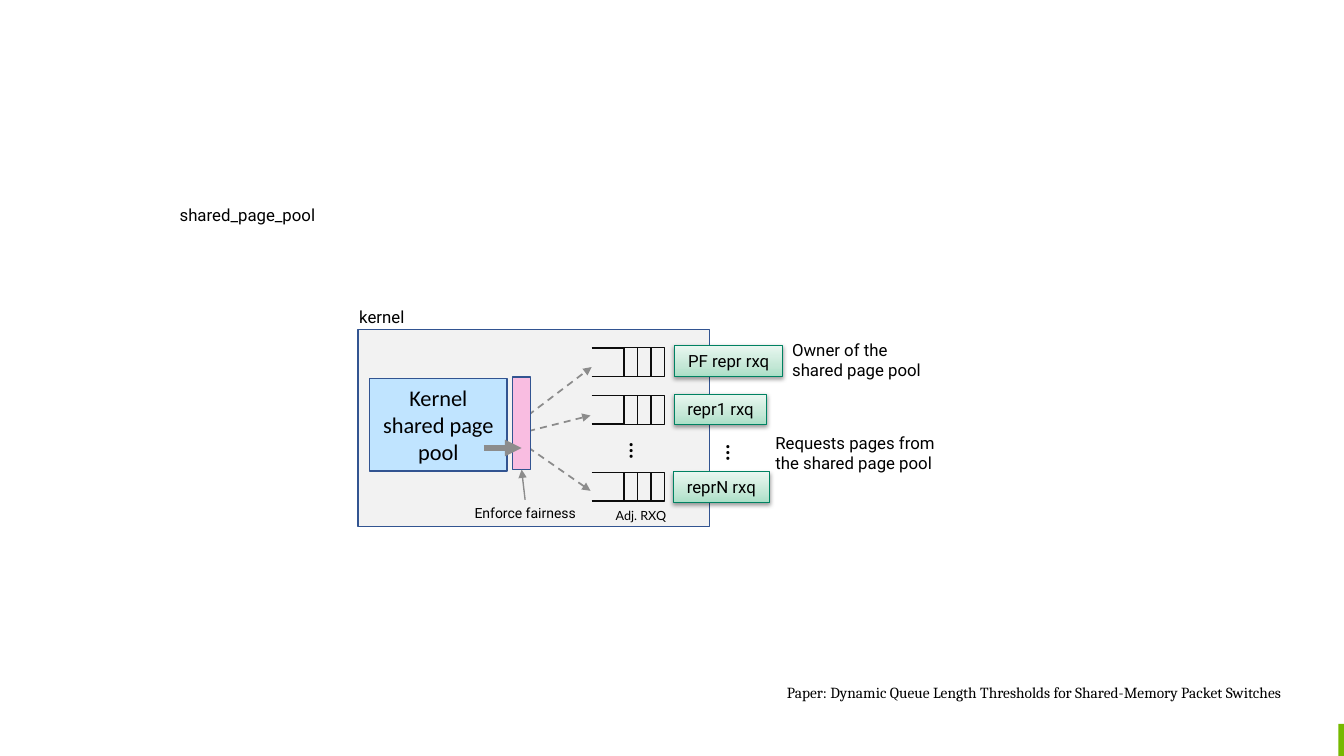
from pptx import Presentation
from pptx.dml.color import RGBColor
from pptx.enum.dml import MSO_LINE
from pptx.enum.shapes import MSO_CONNECTOR, MSO_SHAPE
from pptx.enum.text import MSO_ANCHOR, MSO_AUTO_SIZE as AutoSize, PP_ALIGN as Align
from pptx.oxml import parse_xml
from pptx.oxml.ns import nsdecls, qn
from pptx.util import Pt
from copy import deepcopy

BLACK, INK, NAVY, GREY, GREEN = "000000", "0D0D0D", "325491", "8C8C8C", "008262"
GRADIENT = (("ABDFC7", 0), ("C5E8D7", 0.35), ("E9F7F0", 1))


def rgb(color):
    return RGBColor.from_string(color)


class Diagram:
    """Draws styled elements on one slide; all lengths are points."""

    def __init__(self, page, font="Roboto"):
        self.page, self.font = page, font
        self.shapes = page.shapes

    def add_text(self, shape, lines, size, font=None, align=Align.CENTER,
                 wrap=False, grow=True, anchor=MSO_ANCHOR.TOP):
        frame = shape.text_frame
        frame.word_wrap = wrap
        frame.auto_size = AutoSize.SHAPE_TO_FIT_TEXT if grow else AutoSize.NONE
        frame.vertical_anchor = anchor
        for index, line in enumerate(lines):
            para = frame.add_paragraph() if index else frame.paragraphs[0]
            para.alignment = align
            span = para.add_run()
            span.text = line
            span.font.size = Pt(size)
            span.font.name = font or self.font
            span.font.color.rgb = rgb(BLACK)

    def label(self, x, y, w, h, *lines, size=12, rotation=0, **style):
        box = self.shapes.add_textbox(Pt(x), Pt(y), Pt(w), Pt(h))
        box.rotation = rotation
        self.add_text(box, lines, size, **style)
        return box

    def rect(self, x, y, w, h, fill=None, line=None, weight=1):
        box = self.shapes.add_shape(MSO_SHAPE.RECTANGLE, Pt(x), Pt(y), Pt(w), Pt(h))
        box.shadow.inherit = False
        if fill:
            box.fill.solid()
            box.fill.fore_color.rgb = rgb(fill)
        else:
            box.fill.background()
        if line:
            box.line.color.rgb = rgb(line)
            box.line.width = Pt(weight)
        else:
            box.line.fill.background()
        return box

    def green_box(self, x, y, w, h, text):
        box = self.rect(x, y, w, h, line=GREEN, weight=0.75)
        # Three-stop gradient running upwards
        box.fill.gradient()
        box.fill.gradient_angle = 90
        stop_list = box._element.spPr.find(qn("a:gradFill")).find(qn("a:gsLst"))
        stop_list.insert(1, deepcopy(stop_list[0]))
        for stop, (color, position) in zip(box.fill.gradient_stops, GRADIENT):
            stop.color.rgb = rgb(color)
            stop.position = position
        # Soft shadow below
        effects = box._element.spPr.find(qn("a:effectLst"))
        effects.append(parse_xml(
            f'<a:outerShdw {nsdecls("a")} blurRad="{Pt(3.1)}" dist="{Pt(1.6)}" '
            'dir="5400000" rotWithShape="0"><a:srgbClr val="000000">'
            '<a:alpha val="38000"/></a:srgbClr></a:outerShdw>'))
        self.add_text(box, [text], 12)

    def line(self, x1, y1, x2, y2, color=GREY, weight=1.25, dash=False, arrow=True):
        link = self.shapes.add_connector(
            MSO_CONNECTOR.STRAIGHT, Pt(x1), Pt(y1), Pt(x2), Pt(y2))
        link.line.color.rgb = rgb(color)
        link.line.width = Pt(weight)
        if dash:
            link.line.dash_style = MSO_LINE.DASH
        properties = link._element.spPr
        if arrow:
            properties.find(qn("a:ln")).append(
                parse_xml(f'<a:tailEnd {nsdecls("a")} type="triangle"/>'))
        properties.append(parse_xml(f'<a:effectLst {nsdecls("a")}/>'))
        return link

    def queue(self, y, left=422.6, slots_left=445.7, slot=9.6, height=20.5):
        self.shapes = self.page.shapes.add_group_shape().shapes
        for index in range(3):
            self.rect(slots_left + index * slot, y, slot, height, line=INK)
        for edge in (y, y + height):
            self.line(left, edge, slots_left, edge, INK, arrow=False)
        self.shapes = self.page.shapes


def main():
    deck = Presentation()
    deck.slide_width, deck.slide_height = Pt(960), Pt(540)
    page = deck.slides.add_slide(deck.slide_layouts[6])
    art = Diagram(page)

    # Corner accent and reference
    art.rect(956, 517, 4, 23, "76B900")
    art.label(555, 484.6, 405, 20.9,
              "Paper: Dynamic Queue Length Thresholds for Shared-Memory Packet Switches",
              size=11, font="Cambria", align=Align.LEFT, wrap=True)

    # Kernel area with its receive queues
    art.rect(255.7, 235.4, 251.2, 140.6, "F2F2F2", NAVY)
    for y in (248.4, 282.6, 337.5):
        art.queue(y)
    for x, y in ((443.5, 306), (512.6, 307.4)):
        art.label(x, y, 28.1, 31.7, "…", size=20, rotation=90)

    # Shared pool and the paths to the queues
    pool = art.rect(264, 270.2, 98.2, 66.2, "C0E4FF", NAVY)
    art.add_text(pool, ["Kernel shared page pool"], 16, font="Calibri",
                 wrap=True, grow=False, anchor=MSO_ANCHOR.MIDDLE)
    for start, end_x, end_y in ((296.6, 422.6, 262.2), (308, 421.8, 296.8),
                                (319.6, 421.8, 350.6)):
        art.line(377.3, start, end_x, end_y, dash=True)

    # Representor queues
    for x, y, w, name in ((481.9, 246.8, 77.3, "PF repr rxq"),
                          (481.6, 281.6, 66.2, "repr1 rxq"),
                          (481, 337, 68.6, "reprN rxq")):
        art.green_box(x, y, w, 21.8, name)

    # Labels
    fairness = art.label(329, 357, 92.2, 19.4, "Enforce fairness", size=10)
    art.label(558.7, 239, 111.6, 36, "Owner of the", "shared page pool",
              align=Align.LEFT)
    art.label(247.9, 215.4, 49.7, 21.8, "kernel")
    art.label(118.1, 142.6, 117.4, 21.8, "shared_page_pool")
    art.label(546.8, 305.5, 135.4, 36, "Requests pages from",
              "the shared page pool", align=Align.LEFT)
    art.label(432.7, 359.3, 60.5, 18, "Adj. RXQ", size=9, font="Lato",
              align=Align.LEFT, wrap=True)

    # Fairness gate and its arrows
    gate = art.rect(366.2, 269.2, 12.8, 66.2, "F9BDE1", NAVY)
    enforce = art.line(375.1, 357, 372.6, 335.4, weight=1)
    enforce.begin_connect(fairness, 0)
    enforce.end_connect(gate, 2)
    art.line(345.6, 320, 372.6, 320, weight=4)

    deck.save("out.pptx")


if __name__ == "__main__":
    main()
